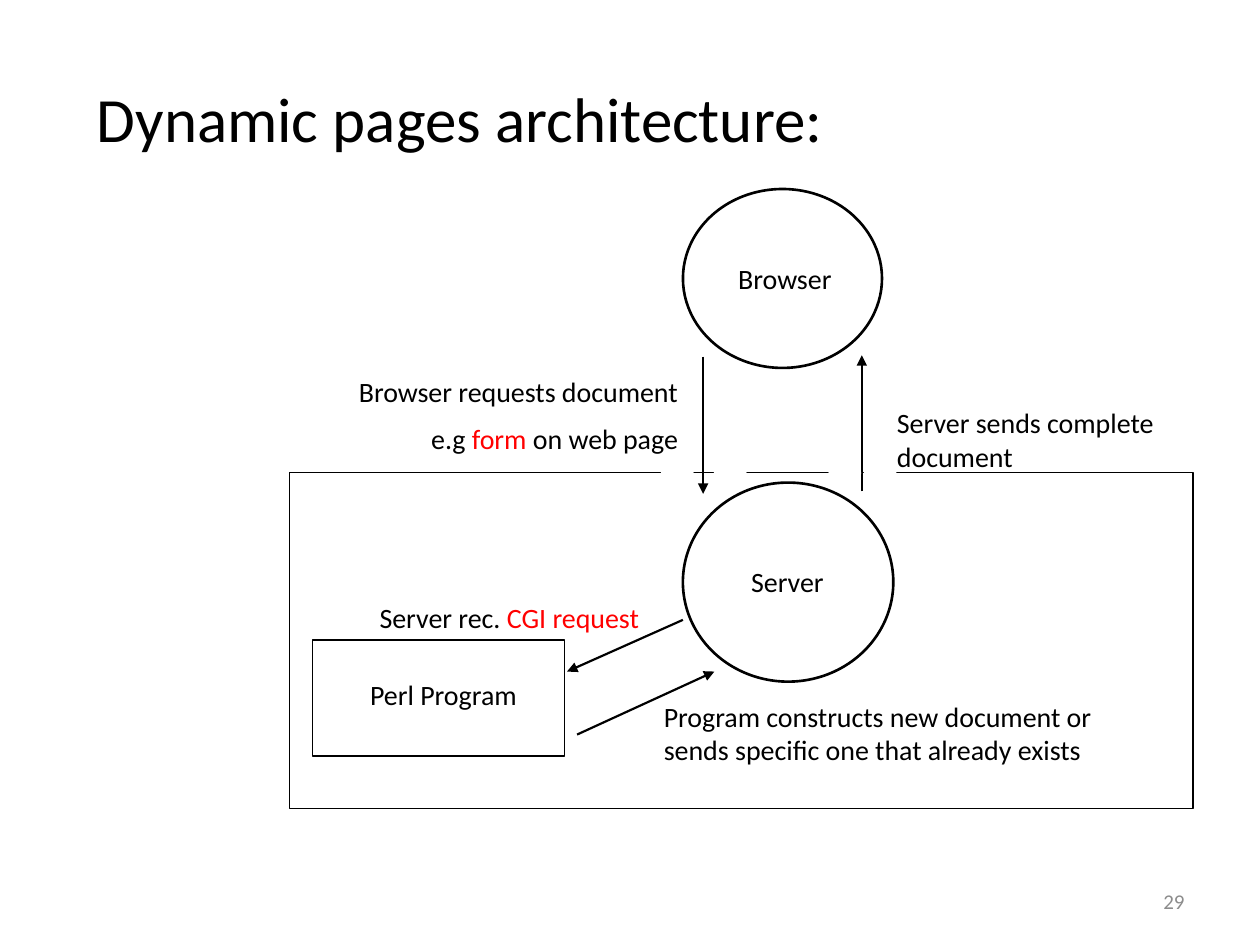
from dataclasses import dataclass

from lxml import etree
from pptx import Presentation
from pptx.dml.color import RGBColor
from pptx.enum.shapes import MSO_CONNECTOR, MSO_SHAPE
from pptx.enum.text import MSO_ANCHOR, PP_ALIGN
from pptx.oxml.ns import qn
from pptx.util import Pt

EMU_PER_PX = 9144
FONT = "Calibri"
BLACK, WHITE, RED, GREY = "000000", "FFFFFF", "FF0000", "8C8C8C"
LEFT, CENTER, RIGHT = PP_ALIGN.LEFT, PP_ALIGN.CENTER, PP_ALIGN.RIGHT
TOP, MIDDLE = MSO_ANCHOR.TOP, MSO_ANCHOR.MIDDLE
OVAL, RECTANGLE = MSO_SHAPE.OVAL, MSO_SHAPE.RECTANGLE
STRAIGHT = MSO_CONNECTOR.STRAIGHT


@dataclass(frozen=True)
class Box:
    left: int
    top: int
    width: int
    height: int


@dataclass(frozen=True)
class Outline:
    kind: int
    box: Box
    weight: float = 0.75
    color: str = BLACK
    fill: str = ""


@dataclass(frozen=True)
class Arrow:
    start: tuple[int, int]
    end: tuple[int, int]


@dataclass(frozen=True)
class Label:
    text: str
    box: Box
    align: int = LEFT
    size: int = 16
    color: str = BLACK
    highlight: str = ""
    anchor: int = TOP


def px(value: int) -> int:
    return value * EMU_PER_PX


def place(box: Box) -> list[int]:
    return [px(side) for side in (box.left, box.top, box.width, box.height)]


def rgb(color: str) -> RGBColor:
    return RGBColor.from_string(color)


def draw_outline(slide, outline: Outline) -> None:
    shape = slide.shapes.add_shape(outline.kind, *place(outline.box))
    shape.shadow.inherit = False
    if outline.fill:
        shape.fill.solid()
        shape.fill.fore_color.rgb = rgb(outline.fill)
    else:
        shape.fill.background()
    shape.line.color.rgb = rgb(outline.color)
    shape.line.width = Pt(outline.weight)


def draw_arrow(slide, arrow: Arrow) -> None:
    ends = [px(value) for value in (*arrow.start, *arrow.end)]
    connector = slide.shapes.add_connector(STRAIGHT, *ends)
    connector.line.color.rgb = rgb(BLACK)
    connector.line.width = Pt(1.25)
    properties = connector.element.spPr
    etree.SubElement(properties.find(qn("a:ln")), qn("a:tailEnd"), type="triangle")
    etree.SubElement(properties, qn("a:effectLst"))


def draw_label(slide, label: Label) -> None:
    frame = slide.shapes.add_textbox(*place(label.box)).text_frame
    frame.word_wrap = True
    frame.vertical_anchor = label.anchor
    frame.text = label.text
    for index, paragraph in enumerate(frame.paragraphs):
        paragraph.alignment = label.align
        if index:
            paragraph.space_before = Pt(label.size / 2)
        if label.highlight and label.highlight in paragraph.text:
            before, after = paragraph.text.split(label.highlight)
            paragraph.text = before
            for part in filter(None, (label.highlight, after)):
                paragraph.add_run().text = part
        for run in paragraph.runs:
            run.font.name = FONT
            run.font.size = Pt(label.size)
            highlighted = run.text == label.highlight
            run.font.color.rgb = rgb(RED if highlighted else label.color)


TITLE = Label("Dynamic pages architecture:", Box(67, 58, 933, 162), size=36)
ARROWS = [
    Arrow((684, 390), (684, 282)),
    Arrow((558, 283), (558, 392)),
    Arrow((542, 492), (450, 533)),
    Arrow((458, 583), (567, 533)),
]
NODES = [
    Outline(OVAL, Box(542, 150, 158, 142), 1.5),
    Outline(OVAL, Box(542, 383, 167, 158), 1.5),
    Outline(RECTANGLE, Box(248, 508, 200, 92)),
]
LABELS = [
    Label("Browser", Box(568, 203, 110, 37), CENTER),
    Label("Server", Box(580, 443, 90, 37), CENTER),
    Label("Perl Program", Box(273, 533, 158, 37), CENTER),
    Label("Browser requests document\ne.g form on web page",
          Box(200, 292, 348, 77), RIGHT, highlight="form"),
    Label("Server sends complete document", Box(702, 317, 298, 64)),
    Label("Server rec. CGI request", Box(169, 472, 348, 37), RIGHT,
          highlight="CGI request"),
    Label("Program constructs new document or sends specific one that already exists",
          Box(517, 550, 400, 64)),
]
SERVER_FRAME = Outline(RECTANGLE, Box(230, 375, 717, 267))
FRAME_GAPS = [
    Outline(OVAL, Box(left, 367, 25, 17), color=WHITE, fill=WHITE)
    for left in (525, 567, 658, 686)
]
PAGE_NUMBER = Label("29", Box(717, 695, 233, 40), RIGHT, 12, GREY, anchor=MIDDLE)


def main() -> None:
    presentation = Presentation()
    presentation.slide_width = px(1000)
    presentation.slide_height = px(750)
    slide = presentation.slides.add_slide(presentation.slide_layouts[6])
    draw_label(slide, TITLE)
    for arrow in ARROWS:
        draw_arrow(slide, arrow)
    for node in NODES:
        draw_outline(slide, node)
    for label in LABELS:
        draw_label(slide, label)
    for outline in (SERVER_FRAME, *FRAME_GAPS):
        draw_outline(slide, outline)
    draw_label(slide, PAGE_NUMBER)
    presentation.save("out.pptx")


if __name__ == "__main__":
    main()
